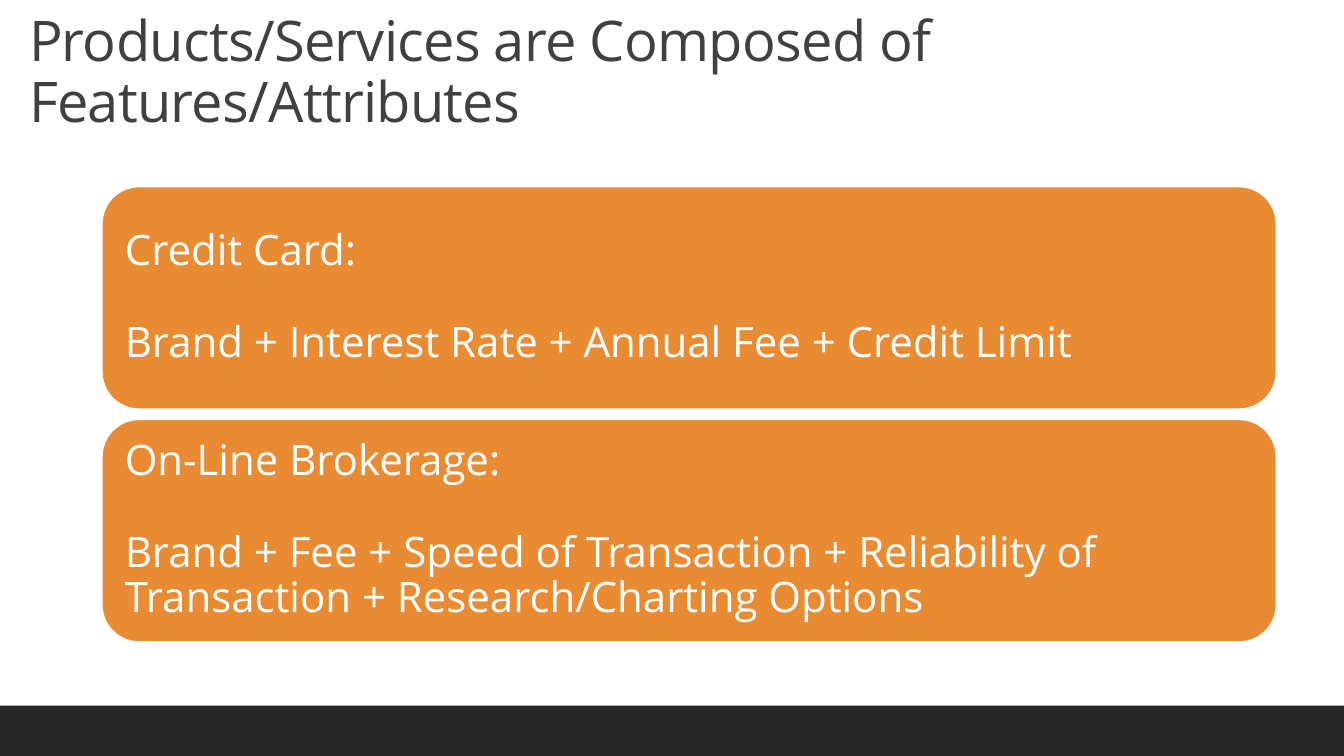
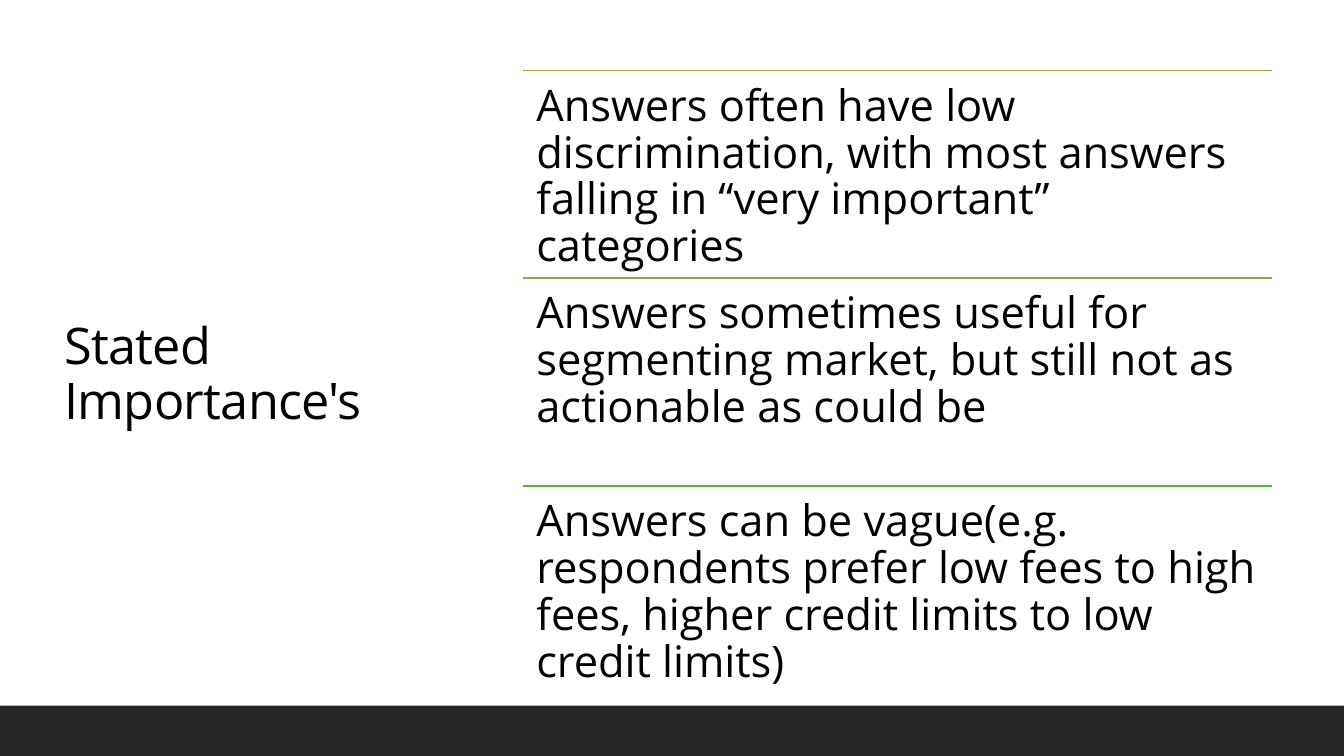
from dataclasses import dataclass

from lxml import etree
from pptx import Presentation
from pptx.dml.color import RGBColor
from pptx.enum import shapes, text
from pptx.oxml import ns
from pptx.util import Inches, Pt

FONT = "Open Sans"
WHITE = RGBColor(0xFF, 0xFF, 0xFF)
BLACK = RGBColor(0, 0, 0)
BAND = RGBColor(0x26, 0x26, 0x26)
TITLE_GREY = RGBColor(0x40, 0x40, 0x40)
ORANGE = RGBColor(0xE8, 0x8B, 0x33)
OLIVE = RGBColor(0xAE, 0xA3, 0x3A)
MOSS = RGBColor(0x8C, 0xAB, 0x4A)
GREEN = RGBColor(0x57, 0xB6, 0x36)
WIDTH, HEIGHT = 13.33, 7.5
BAND_HEIGHT = 0.5
LINE_WIDTH = Pt(1.25)


@dataclass(frozen=True)
class Box:
    left: float
    top: float
    width: float
    height: float

    def lengths(self) -> list[int]:
        return [Inches(v) for v in (self.left, self.top, self.width, self.height)]


@dataclass(frozen=True)
class Card:
    product: str
    features: str


@dataclass(frozen=True)
class Row:
    color: RGBColor
    answer: str


CARDS = [
    Card("Credit Card:", "Brand + Interest Rate + Annual Fee + Credit Limit"),
    Card("On-Line Brokerage:",
         "Brand + Fee + Speed of Transaction + Reliability of Transaction"
         " + Research/Charting Options"),
]
ROWS = [
    Row(OLIVE, "Answers often have low discrimination, with most answers"
               " falling in “very important” categories"),
    Row(MOSS, "Answers sometimes useful for segmenting market, but still"
              " not as actionable as could be"),
    Row(GREEN, "Answers can be vague(e.g. respondents prefer low fees to high"
               " fees, higher credit limits to low credit limits)"),
]
FIRST_CARD = Box(1.01, 1.85, 11.65, 2.21)
CARD_STEP = 2.31
FIRST_ROW = Box(5.19, 0.7, 7.43, 2.06)


def write(sp, lines: list[str], size: float, color: RGBColor, anchor,
          inset: float | None = None, gap: float = 0) -> None:
    tf = sp.text_frame
    tf.word_wrap = True
    tf.vertical_anchor = anchor
    if inset is not None:
        tf.margin_left = tf.margin_right = Inches(inset)
        tf.margin_top = tf.margin_bottom = Inches(inset)
    for i, line in enumerate(lines):
        p = tf.add_paragraph() if i else tf.paragraphs[0]
        p.text = line
        p.alignment = text.PP_ALIGN.LEFT
        p.line_spacing = 0.9
        p.space_before = Pt(gap if i else 0)
        p.font.name = FONT
        p.font.size = Pt(size)
        p.font.color.rgb = color


def add_panel(s, kind, box: Box, fill: RGBColor):
    sp = s.shapes.add_shape(kind, *box.lengths())
    sp.shadow.inherit = False
    sp.fill.solid()
    sp.fill.fore_color.rgb = fill
    sp.line.fill.background()
    return sp


def add_slide(prs, title: str, box: Box, size: float, color: RGBColor, anchor):
    s = prs.slides.add_slide(prs.slide_layouts[6])
    add_panel(s, shapes.MSO_SHAPE.RECTANGLE,
              Box(0, HEIGHT - BAND_HEIGHT, WIDTH, BAND_HEIGHT), BAND)
    sp = s.shapes.add_textbox(*box.lengths())
    write(sp, [title], size, color, anchor)
    r = sp.text_frame.paragraphs[0].runs[0]
    r._r.get_or_add_rPr().set("spc", "-50")
    return s


def add_card(s, card: Card, box: Box) -> None:
    sp = add_panel(s, shapes.MSO_SHAPE.ROUNDED_RECTANGLE, box, ORANGE)
    sp.line.color.rgb = WHITE
    sp.line.width = LINE_WIDTH
    write(sp, [card.product, card.features], 30, WHITE,
          text.MSO_ANCHOR.MIDDLE, inset=0.12, gap=33)


def add_row(s, row: Row, box: Box) -> None:
    left, top, width, _ = box.lengths()
    rule = s.shapes.add_connector(shapes.MSO_CONNECTOR.STRAIGHT,
                                  left, top, left + width, top)
    rule.line.color.rgb = row.color
    rule.line.width = LINE_WIDTH
    etree.SubElement(rule._element.spPr, ns.qn("a:effectLst"))
    sp = s.shapes.add_textbox(*box.lengths())
    write(sp, [row.answer], 31, BLACK, text.MSO_ANCHOR.TOP, inset=0.13)


def main() -> None:
    prs = Presentation()
    prs.slide_width, prs.slide_height = Inches(WIDTH), Inches(HEIGHT)

    s = add_slide(prs, "Products/Services are Composed of Features/Attributes",
                  Box(0.19, 0.13, 12.64, 1.25), 40, TITLE_GREY,
                  text.MSO_ANCHOR.BOTTOM)
    b = FIRST_CARD
    for i, card in enumerate(CARDS):
        add_card(s, card, Box(b.left, b.top + i * CARD_STEP, b.width, b.height))

    s = add_slide(prs, "Stated Importance's", Box(0.54, 0.57, 3.37, 6.31),
                  36, BLACK, text.MSO_ANCHOR.MIDDLE)
    b = FIRST_ROW
    for i, row in enumerate(ROWS):
        add_row(s, row, Box(b.left, b.top + i * b.height, b.width, b.height))

    prs.save("out.pptx")


if __name__ == "__main__":
    main()
